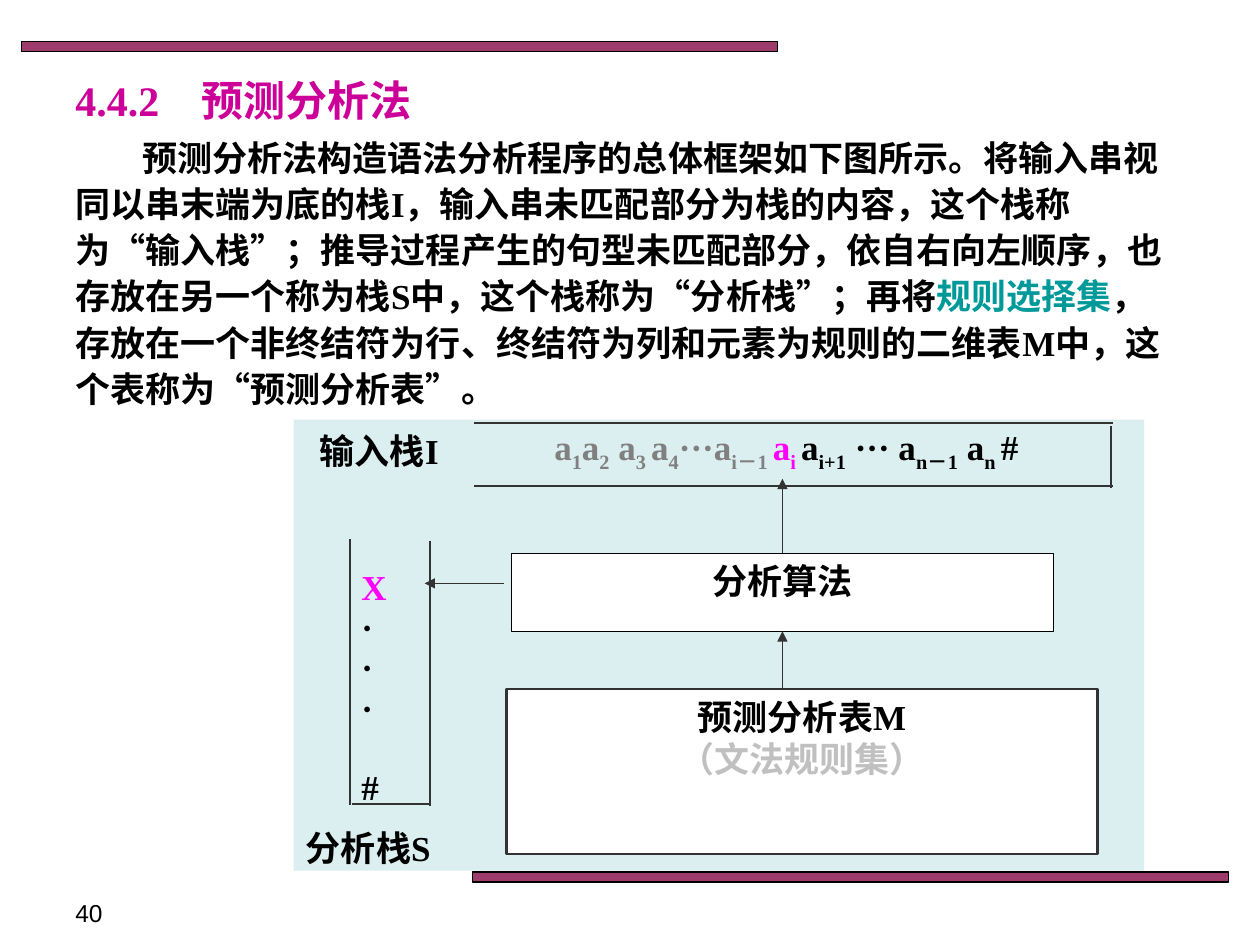
from lxml.etree import SubElement
from pptx import Presentation
from pptx.dml.color import RGBColor
from pptx.enum.shapes import MSO_CONNECTOR, MSO_SHAPE
from pptx.enum.text import MSO_ANCHOR, PP_ALIGN
from pptx.oxml.ns import qn
from pptx.util import Inches, Pt

COLORS = {
    "black": "000000", "white": "FFFFFF", "bar": "993366", "panel": "BBE0E3",
    "line": "333333", "title": "CC0099", "teal": "009999", "gray": "808080",
    "silver": "C0C0C0", "magenta": "FF00FF",
}

presentation = Presentation()
presentation.slide_width = Inches(10)
presentation.slide_height = Inches(7.5)
slide = presentation.slides.add_slide(presentation.slide_layouts[6])


def add_box(bounds, fill=None, line=None, width=0.75, opacity=100):
    lengths = [Inches(value) for value in bounds]
    if fill is None:
        shape = slide.shapes.add_textbox(*lengths)
    else:
        shape = slide.shapes.add_shape(MSO_SHAPE.RECTANGLE, *lengths)
        shape.shadow.inherit = False
        shape.fill.solid()
        shape.fill.fore_color.rgb = RGBColor.from_string(COLORS[fill])
        if opacity < 100:
            color = shape.fill._xPr.find(qn("a:solidFill"))[0]
            SubElement(color, qn("a:alpha")).set("val", str(opacity * 1000))
        if line:
            shape.line.color.rgb = RGBColor.from_string(COLORS[line])
            shape.line.width = Pt(width)
        else:
            shape.line.fill.background()
    shape.text_frame.word_wrap = True
    shape.text_frame.vertical_anchor = MSO_ANCHOR.TOP
    return shape


def write(shape, paragraphs, align=PP_ALIGN.LEFT, spacing=None, size=20,
          font="Times New Roman", bold=True):
    frame = shape.text_frame
    for index, runs in enumerate(paragraphs):
        paragraph = frame.paragraphs[0] if index == 0 else frame.add_paragraph()
        paragraph.alignment = align
        if spacing:
            paragraph.line_spacing = spacing
        for text, color, *baseline in runs:
            run = paragraph.add_run()
            run.text = text
            run.font.size = Pt(size)
            run.font.name = font
            run.font.bold = bold
            run.font.color.rgb = RGBColor.from_string(COLORS[color])
            if baseline:
                run._r.get_or_add_rPr().set("baseline", str(baseline[0] * 1000))


for left, top in [(0.17, 0.33), (3.75, 6.92)]:
    add_box((left, top, 6, 0.08), "bar", "black", opacity=96)

write(add_box((0.5, 7.08, 2.33, 0.27)), [[("40", "black")]],
      size=14, font="Arial", bold=False)
add_box((2.33, 3.33, 6.75, 3.58), "panel", opacity=50)

body = add_box((0.5, 1, 8.92, 2.32))
write(body, [[
    ("预测分析法构造语法分析程序的总体框架如下图所示。将输入串视同以串末端为底的栈I，"
     "输入串未匹配部分为栈的内容，这个栈称为“输入栈”；推导过程产生的句型未匹配部分，"
     "依自右向左顺序，也存放在另一个称为栈S中，这个栈称为“分析栈”；再将", "black"),
    ("规则选择集", "teal"),
    ("，存放在一个非终结符为行、终结符为列和元素为规则的二维表M中，"
     "这个表称为“预测分析表”。", "black"),
]], spacing=1.1)
body.text_frame.paragraphs[0]._p.get_or_add_pPr().set("indent", str(Inches(0.53)))

algorithm = add_box((4.06, 4.39, 4.3, 0.62), "white", "black")
write(algorithm, [[("分析算法", "black")]], PP_ALIGN.CENTER)

stack = add_box((2.77, 4.46, 0.61, 1.97))
write(stack, [[("X", "magenta")]] + [[(text, "black")] for text in "···#"],
      PP_ALIGN.JUSTIFY, 0.96)
stack.text_frame.paragraphs[-1].space_before = Pt(22)

write(add_box((2.33, 6.51, 1.52, 0.58)), [[("分析栈S", "black")]], PP_ALIGN.JUSTIFY)
write(add_box((2.25, 3.38, 1.52, 0.58)), [[("输入栈I", "black")]], PP_ALIGN.CENTER, 0.96)

input_symbols = [
    ("a", "1", "gray"), ("a", "2", "gray"), (" a", "3 ", "gray"), ("a", "4", "gray"),
    ("···a", "i－1 ", "gray"), ("a", "i ", "magenta"), ("a", "i+1", "black"),
    (" ··· a", "n－1", "black"), (" a", "n ", "black"),
]
input_runs = []
for symbol, subscript, color in input_symbols:
    input_runs += [(symbol, color), (subscript, color, -25)]
write(add_box((3.8, 3.33, 4.88, 0.58)), [input_runs + [("#", "black")]], PP_ALIGN.CENTER)

table = add_box((4.02, 5.47, 4.69, 1.31), "white", "line", 1.25)
write(table, [[("预测分析表M", "black")], [("（文法规则集）", "silver")]], PP_ALIGN.CENTER)

stack_edges = [(2.78, 4.28, 2.78, 6.39), (3.41, 4.29, 3.41, 6.4), (2.79, 6.38, 3.41, 6.38)]
input_edges = [(3.76, 3.36, 8.83, 3.36), (8.82, 3.38, 8.82, 3.87), (3.76, 3.86, 8.83, 3.86)]
arrows = [(6.21, 4.39, 6.21, 3.8), (4, 4.63, 3.37, 4.63), (6.21, 5.46, 6.21, 5.01)]
connectors = []
for ends in stack_edges + input_edges + arrows:
    connector = slide.shapes.add_connector(
        MSO_CONNECTOR.STRAIGHT, *[Inches(value) for value in ends])
    connector.line.color.rgb = RGBColor.from_string(COLORS["line"])
    connector.line.width = Pt(0.75 if ends in arrows else 1.25)
    if ends in arrows:
        SubElement(connector.line._get_or_add_ln(), qn("a:tailEnd")).set("type", "triangle")
    SubElement(connector._element.spPr, qn("a:effectLst"))
    connectors.append(connector)
connectors[-3].begin_connect(algorithm, 0)
connectors[-1].end_connect(algorithm, 2)

title = add_box((0.5, 0.5, 3.33, 0.58))
title.text_frame.vertical_anchor = MSO_ANCHOR.MIDDLE
write(title, [[("4.4.2　预测分析法", "title")]], size=24)

presentation.save("out.pptx")
